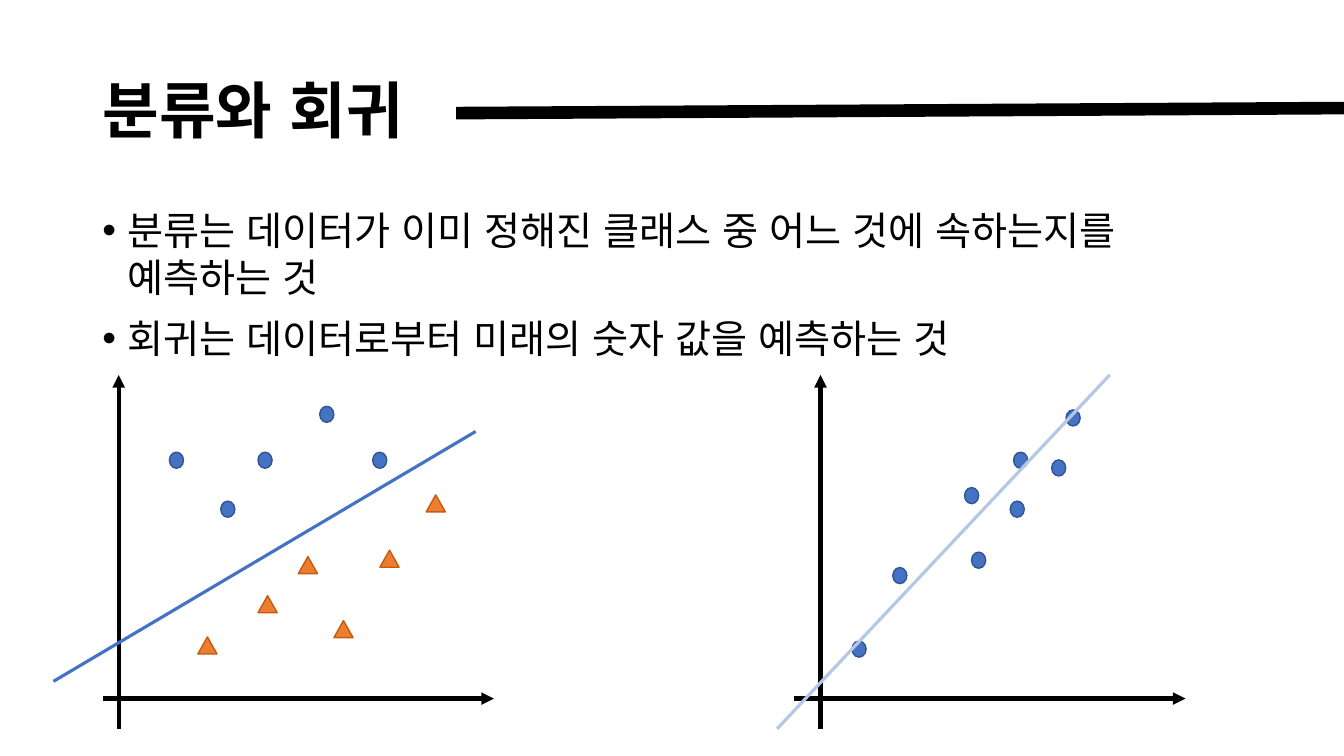
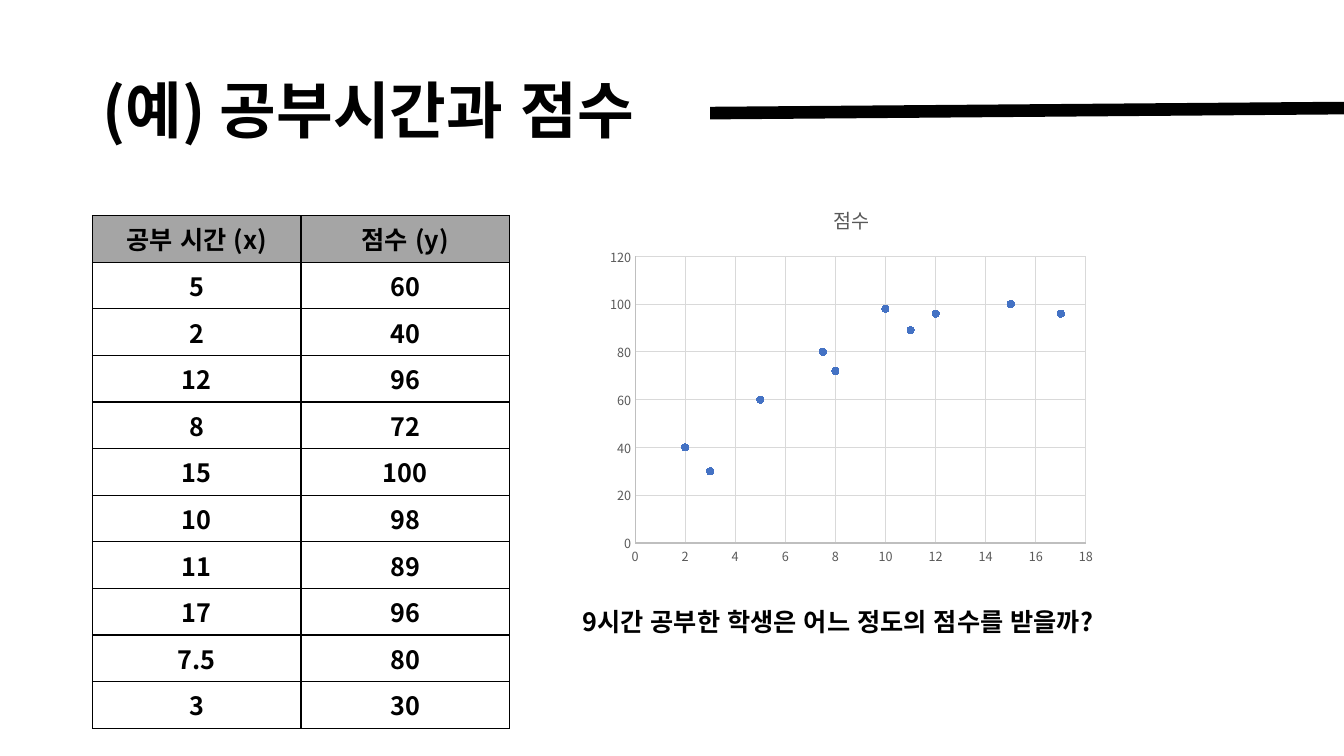
from lxml.etree import SubElement
from pptx import Presentation
from pptx.chart.data import XyChartData
from pptx.dml.color import RGBColor
from pptx.enum.chart import XL_CHART_TYPE, XL_MARKER_STYLE, XL_TICK_MARK
from pptx.enum.lang import MSO_LANGUAGE_ID
from pptx.enum.shapes import MSO_CONNECTOR, MSO_SHAPE
from pptx.enum.text import MSO_ANCHOR, MSO_AUTO_SIZE, PP_ALIGN
from pptx.oxml.ns import qn
from pptx.util import Pt

# Shared look
FONT = "Noto Sans CJK KR"
COLORS = {
    "ink": "000000", "header": "A5A5A5", "label": "595959",
    "axis": "BFBFBF", "grid": "D9D9D9", "fit": "B4C7E7",
    "blue": "4472C4", "blue_edge": "325491",
    "orange": "ED7D31", "orange_edge": "C55A11",
}
SLIDE_W, SLIDE_H = 960, 540
TITLE_LEFT, TITLE_TOP, TITLE_H = 66, 28.8, 104.4
RULE_Y = (80.8, 77.2)

# Slide 1 content: definitions and two sketches
DEFINITIONS = [
    "분류는 데이터가 이미 정해진 클래스 중 어느 것에 속하는지를 예측하는 것",
    "회귀는 데이터로부터 미래의 숫자 값을 예측하는 것",
]
AXES_LEFT = [(73.4, 84.8), (567.4, 586.1)]  # start of x axis, place of y axis
AXIS_LENGTH, X_AXIS_Y = 279.4, 499
Y_AXIS_BOTTOM, Y_AXIS_TOP = 520.6, 267.8
BOUNDARY = (38.2, 486.7, 339.8, 308.2)
FIT_LINE = (555.1, Y_AXIS_BOTTOM, 792.7, Y_AXIS_TOP)
CIRCLE = (MSO_SHAPE.OVAL, 10.1, 11.5, "blue")
TRIANGLE = (MSO_SHAPE.ISOSCELES_TRIANGLE, 13.7, 12.2, "orange")
MARKS = [
    (CIRCLE, [(121, 323), (184.3, 323), (157.7, 358), (228.4, 290.2),
              (266.2, 323)]),
    (TRIANGLE, [(184.3, 425.5), (213.1, 397.6), (271.4, 393),
                (238.5, 443.3), (304.4, 353.5), (141.3, 455)]),
    (CIRCLE, [(608.6, 457.9), (637.7, 405.4), (694, 394.4), (689, 348.3),
              (724, 323), (721.6, 358), (761.5, 292.8), (751.2, 328.5)]),
]

# Slide 2 content: hours studied and scores
HEADINGS = ("공부 시간 (x)", "점수 (y)")
SCORES = [(5, 60), (2, 40), (12, 96), (8, 72), (15, 100),
          (10, 98), (11, 89), (17, 96), (7.5, 80), (3, 30)]
SCORE_NAME = "점수"
QUESTION = "9시간 공부한 학생은 어느 정도의 점수를 받을까?"
COLUMN_W, ROW_H = 149, 33.28


def rgb(name):
    return RGBColor.from_string(COLORS[name])


def style_font(font, size, color="ink", bold=False):
    font.name, font.size, font.bold = FONT, Pt(size), bold
    font.color.rgb = rgb(color)
    font.language_id = MSO_LANGUAGE_ID.KOREAN


def add_run(paragraph, text, size, color="ink", bold=False):
    run = paragraph.add_run()
    run.text = text
    style_font(run.font, size, color, bold)


def place(shape, left, top, width, height):
    shape.left, shape.top = Pt(left), Pt(top)
    shape.width, shape.height = Pt(width), Pt(height)


def add_line(slide, x1, y1, x2, y2, color, width, arrow=False):
    line = slide.shapes.add_connector(
        MSO_CONNECTOR.STRAIGHT, Pt(x1), Pt(y1), Pt(x2), Pt(y2))
    line.line.color.rgb = rgb(color)
    line.line.width = Pt(width)
    if arrow:
        SubElement(line.line._get_or_add_ln(), qn("a:tailEnd"), type="triangle")
    SubElement(line._element.spPr, qn("a:effectLst"))


def add_titled_slide(deck, layout, heading, title_w):
    slide = deck.slides.add_slide(deck.slide_layouts[layout])
    title = slide.shapes.title
    place(title, TITLE_LEFT, TITLE_TOP, title_w, TITLE_H)
    frame = title.text_frame
    frame.auto_size = MSO_AUTO_SIZE.NONE
    frame.vertical_anchor = MSO_ANCHOR.MIDDLE
    paragraph = frame.paragraphs[0]
    paragraph.alignment = PP_ALIGN.LEFT
    paragraph.line_spacing = 0.9
    add_run(paragraph, heading, 44, bold=True)
    add_line(slide, TITLE_LEFT + title_w, RULE_Y[0], SLIDE_W, RULE_Y[1], "ink", 9)
    return slide


def add_definitions(slide):
    body = slide.placeholders[1]
    place(body, TITLE_LEFT, 144, 828, 342.7)
    frame = body.text_frame
    frame.auto_size = MSO_AUTO_SIZE.NONE
    for i, definition in enumerate(DEFINITIONS):
        paragraph = frame.add_paragraph() if i else frame.paragraphs[0]
        paragraph.line_spacing = 1.0
        paragraph.space_before = Pt(10)
        properties = paragraph._p.get_or_add_pPr()
        properties.set("marL", str(Pt(18)))
        properties.set("indent", str(-Pt(18)))
        SubElement(properties, qn("a:buChar"), char="•")
        add_run(paragraph, definition, 28)


def add_sketches(slide):
    for x_start, y_axis_x in AXES_LEFT:
        add_line(slide, x_start, X_AXIS_Y, x_start + AXIS_LENGTH, X_AXIS_Y,
                 "ink", 3, arrow=True)
        add_line(slide, y_axis_x, Y_AXIS_BOTTOM, y_axis_x, Y_AXIS_TOP,
                 "ink", 3, arrow=True)
    add_line(slide, *BOUNDARY, "blue", 2.25)
    for (preset, width, height, color), spots in MARKS:
        for left, top in spots:
            mark = slide.shapes.add_shape(
                preset, Pt(left), Pt(top), Pt(width), Pt(height))
            mark.shadow.inherit = False
            mark.fill.solid()
            mark.fill.fore_color.rgb = rgb(color)
            mark.line.color.rgb = rgb(color + "_edge")
            mark.line.width = Pt(1)
    add_line(slide, *FIT_LINE, "fit", 2.25)


def add_borders(cell):
    properties = cell._tc.get_or_add_tcPr()
    for i, side in enumerate(("lnL", "lnR", "lnT", "lnB")):
        border = properties.makeelement(qn("a:" + side), {"w": str(Pt(1))})
        fill = SubElement(border, qn("a:solidFill"))
        SubElement(fill, qn("a:srgbClr"), val=COLORS["ink"])
        properties.insert(i, border)


def add_score_table(slide):
    rows = [HEADINGS, *SCORES]
    table = slide.shapes.add_table(
        len(rows), 2, Pt(TITLE_LEFT), Pt(154), Pt(2 * COLUMN_W),
        Pt(len(rows) * ROW_H)).table
    table.first_row = table.horz_banding = False
    for r, row in enumerate(rows):
        table.rows[r].height = Pt(ROW_H)
        for c, value in enumerate(row):
            cell = table.cell(r, c)
            if r:
                cell.fill.background()
            else:
                cell.fill.solid()
                cell.fill.fore_color.rgb = rgb("header")
            paragraph = cell.text_frame.paragraphs[0]
            paragraph.alignment = PP_ALIGN.CENTER
            add_run(paragraph, str(value), 18, bold=True)
            add_borders(cell)


def add_score_chart(slide):
    data = XyChartData()
    points = data.add_series(SCORE_NAME)
    for hours, score in SCORES:
        points.add_data_point(hours, score)
    chart = slide.shapes.add_chart(
        XL_CHART_TYPE.XY_SCATTER, Pt(428.6), Pt(133.2), Pt(359.3), Pt(275.8),
        data).chart
    style_font(chart.font, 10)
    chart.has_legend = False
    chart.has_title = True
    add_run(chart.chart_title.text_frame.paragraphs[0], SCORE_NAME, 14, "label")
    chart.chart_title.include_in_layout = False
    chart.plots[0].vary_by_categories = False

    series = chart.plots[0].series[0]
    series.format.line.fill.background()
    series.marker.style = XL_MARKER_STYLE.CIRCLE
    series.marker.size = 5
    series.marker.format.fill.solid()
    series.marker.format.fill.fore_color.rgb = rgb("blue")
    series.marker.format.line.color.rgb = rgb("blue")

    for axis, top, step in ((chart.category_axis, 18, 2),
                            (chart.value_axis, 120, 20)):
        axis.minimum_scale, axis.maximum_scale, axis.major_unit = 0, top, step
        axis.major_tick_mark = axis.minor_tick_mark = XL_TICK_MARK.NONE
        axis.has_major_gridlines = True
        for line, color in ((axis.format.line, "axis"),
                            (axis.major_gridlines.format.line, "grid")):
            line.color.rgb = rgb(color)
            line.width = Pt(0.75)
        style_font(axis.tick_labels.font, 9, "label")


def add_question(slide):
    question = slide.shapes.add_textbox(Pt(408.9), Pt(429.6), Pt(417), Pt(29))
    question.text_frame.word_wrap = True
    add_run(question.text_frame.paragraphs[0], QUESTION, 18, bold=True)


def main():
    deck = Presentation()
    deck.slide_width, deck.slide_height = Pt(SLIDE_W), Pt(SLIDE_H)

    # Classification and regression
    concepts = add_titled_slide(deck, 1, "분류와 회귀", 259.8)
    add_definitions(concepts)
    add_sketches(concepts)

    # Study time example
    example = add_titled_slide(deck, 5, "(예) 공부시간과 점수", 441.3)
    add_score_table(example)
    add_score_chart(example)
    add_question(example)

    deck.save("out.pptx")


if __name__ == "__main__":
    main()
